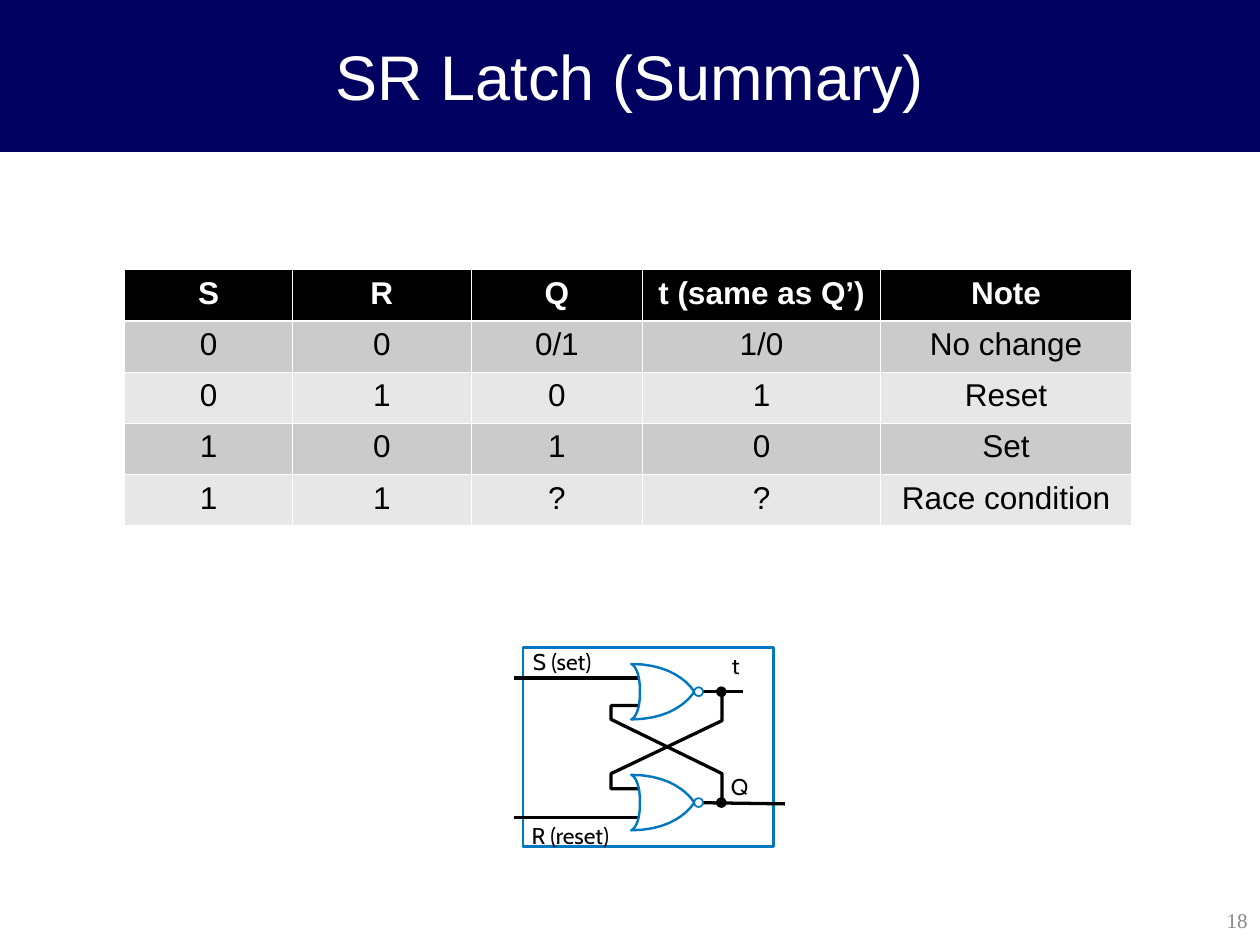
import pptx
import pptx.dml.color
import pptx.enum.shapes
import pptx.enum.text
import pptx.oxml
import pptx.oxml.ns
import pptx.util
from lxml import etree

Inches = pptx.util.Inches
Pt = pptx.util.Pt
ALIGN = pptx.enum.text.PP_ALIGN
ANCHOR = pptx.enum.text.MSO_ANCHOR
SHAPE = pptx.enum.shapes.MSO_SHAPE
NAVY, BLUE, BLACK, WHITE = "000060", "0078C1", "000000", "FFFFFF"
WIRE, OUTLINE = 1.87, 1.39

# Content
TITLE = "SR Latch (Summary)"
PAGE_NUMBER = "18"
TRUTH_TABLE = [
    ("S", "R", "Q", "t (same as Q’)", "Note"),
    ("0", "0", "0/1", "1/0", "No change"),
    ("0", "1", "0", "1", "Reset"),
    ("1", "0", "1", "0", "Set"),
    ("1", "1", "?", "?", "Race condition"),
]
COLUMN_WIDTHS = [1.33, 1.42, 1.36, 1.89, 1.99]
ROW_FILLS = [BLACK, "CBCBCB", "E7E7E7", "CBCBCB", "E7E7E7"]

# Latch circuit: output heights of the two gates, wires and labels
TOP, BOTTOM = 5.49, 6.37
WIRES = [((5.5, TOP), (5.9, TOP)), ((5.5, BOTTOM), (6.23, 6.38)),
         ((4.08, 5.38), (5.07, 5.38)), ((4.08, 6.49), (5.07, 6.49))]
FEEDBACKS = [
    [(5.07, 5.6), (4.85, 5.6), (4.85, 5.71), (5.73, 6.14), (5.73, BOTTOM)],
    [(5.07, 6.26), (4.85, 6.26), (4.85, 6.14), (5.73, 5.72), (5.73, TOP)],
]
LABELS = [("S (set)", 4.23, 5.14, 0.51), ("t", 5.81, 5.17, 0.07),
          ("Q", 5.8, 6.13, 0.14), ("R (reset)", 4.22, 6.52, 0.7)]
# Gate outline as Bezier curves, relative to the output tip
GATE_CURVES = [
    [(0, 0), (0, 0), (-0.12, 0.22), (-0.5, 0.22)],
    [(-0.5, 0.22), (-0.5, 0.22), (-0.43, 0.2), (-0.43, 0)],
    [(-0.43, 0), (-0.43, -0.2), (-0.5, -0.22), (-0.5, -0.22)],
    [(-0.5, -0.22), (-0.12, -0.22), (0, 0), (0, 0)],
]

deck = pptx.Presentation()
deck.slide_width, deck.slide_height = Inches(10), Inches(7.5)
page = deck.slides.add_slide(deck.slide_layouts[6])


def color(value):
    return pptx.dml.color.RGBColor.from_string(value)


def write(frame, text, size, font, ink, align=ALIGN.LEFT, bold=False):
    para = frame.paragraphs[0]
    para.alignment = align
    span = para.add_run()
    span.text = text
    for name, value in {"size": Pt(size), "name": font, "bold": bold}.items():
        setattr(span.font, name, value)
    span.font.color.rgb = color(ink)


def add_text(area, text, size, font, ink, align=ALIGN.LEFT,
             anchor=ANCHOR.MIDDLE, wrap=True, inset=(0.1, 0.05)):
    box = page.shapes.add_textbox(*map(Inches, area))
    across, down = map(Inches, inset)
    settings = {"word_wrap": wrap, "vertical_anchor": anchor,
                "margin_left": across, "margin_right": across,
                "margin_top": down, "margin_bottom": down}
    for name, value in settings.items():
        setattr(box.text_frame, name, value)
    write(box.text_frame, text, size, font, ink, align)


def paint(shape, fill, line, width):
    shape.shadow.inherit = False
    if fill:
        shape.fill.solid()
        shape.fill.fore_color.rgb = color(fill)
    else:
        shape.fill.background()
    shape.line.color.rgb = color(line)
    shape.line.width = Pt(width)


def add_shape(kind, area, fill, line, width):
    paint(page.shapes.add_shape(kind, *map(Inches, area)), fill, line, width)


def add_dot(x, y, fill, line):
    add_shape(SHAPE.OVAL, (x - 0.035, y - 0.035, 0.07, 0.07), fill, line, 1)


def add_path(points, line, width, close=False):
    start, *rest = [(Inches(x), Inches(y)) for x, y in points]
    builder = page.shapes.build_freeform(*start)
    builder.add_line_segments(rest, close=close)
    paint(builder.convert_to_shape(), None, line, width)


def add_wire(start, end):
    wire = page.shapes.add_connector(
        pptx.enum.shapes.MSO_CONNECTOR.STRAIGHT, *map(Inches, start + end))
    wire.line.color.rgb = color(BLACK)
    wire.line.width = Pt(WIRE)
    etree.SubElement(wire._element.spPr, pptx.oxml.ns.qn("a:effectLst"))


def curve_points(curve, steps=12):
    for step in range(steps):
        t = step / steps
        weights = ((1 - t) ** 3, 3 * t * (1 - t) ** 2, 3 * t * t * (1 - t), t ** 3)
        yield tuple(sum(w * point[axis] for w, point in zip(weights, curve))
                    for axis in (0, 1))


def set_borders(cell, widths):
    properties = cell._tc.get_or_add_tcPr()
    for position, (side, width) in enumerate(widths.items()):
        properties.insert(position, pptx.oxml.parse_xml(
            f'<a:ln{side} {pptx.oxml.ns.nsdecls("a")} w="{int(Pt(width))}">'
            f'<a:solidFill><a:srgbClr val="{WHITE}"/></a:solidFill></a:ln{side}>'))


# Title band and page number
add_shape(SHAPE.RECTANGLE, (0, 0, 10, 1.2), NAVY, NAVY, 0.75)
add_text((0, 0, 10, 1.2), TITLE, 36, "Arial", WHITE, ALIGN.CENTER)
add_text((7.88, 7.1, 2.12, 0.4), PAGE_NUMBER, 12, "Times New Roman", "898989",
         ALIGN.RIGHT)

# Truth table
table = page.shapes.add_table(
    len(TRUTH_TABLE), len(COLUMN_WIDTHS), Inches(0.99), Inches(2.14),
    Inches(sum(COLUMN_WIDTHS)), Inches(2.03)).table
for column, width in zip(table.columns, COLUMN_WIDTHS):
    column.width = Inches(width)
for row, (values, fill) in enumerate(zip(TRUTH_TABLE, ROW_FILLS)):
    header = row == 0
    for column, value in enumerate(values):
        cell = table.cell(row, column)
        cell.fill.solid()
        cell.fill.fore_color.rgb = color(fill)
        write(cell.text_frame, value, 18, "Arial", WHITE if header else BLACK,
              ALIGN.CENTER, bold=header)
        set_borders(cell, {"L": 0.45, "R": 0.45, "T": 1.47 if row == 1 else 0.45,
                           "B": 1.47 if header else 0.45})

# Latch frame, wires and labels
add_shape(SHAPE.RECTANGLE, (4.15, 5.14, 1.99, 1.58), None, BLUE, OUTLINE)
for start, end in WIRES:
    add_wire(start, end)
for points in FEEDBACKS:
    add_path(points, BLACK, WIRE)
for text, left, top, width in LABELS:
    add_text((left, top, width, 0.22), text, 13, "Cabin", BLACK,
             anchor=ANCHOR.TOP, wrap=False, inset=(0, 0))

# NOR gates with their inverting bubbles and output nodes
for middle in (TOP, BOTTOM):
    outline = [(5.51 + x, middle + y)
               for curve in GATE_CURVES for x, y in curve_points(curve)]
    add_path(outline, BLUE, OUTLINE, close=True)
    add_dot(5.545, middle, WHITE, BLUE)
    add_dot(5.725, middle, BLACK, BLACK)

deck.save("out.pptx")
